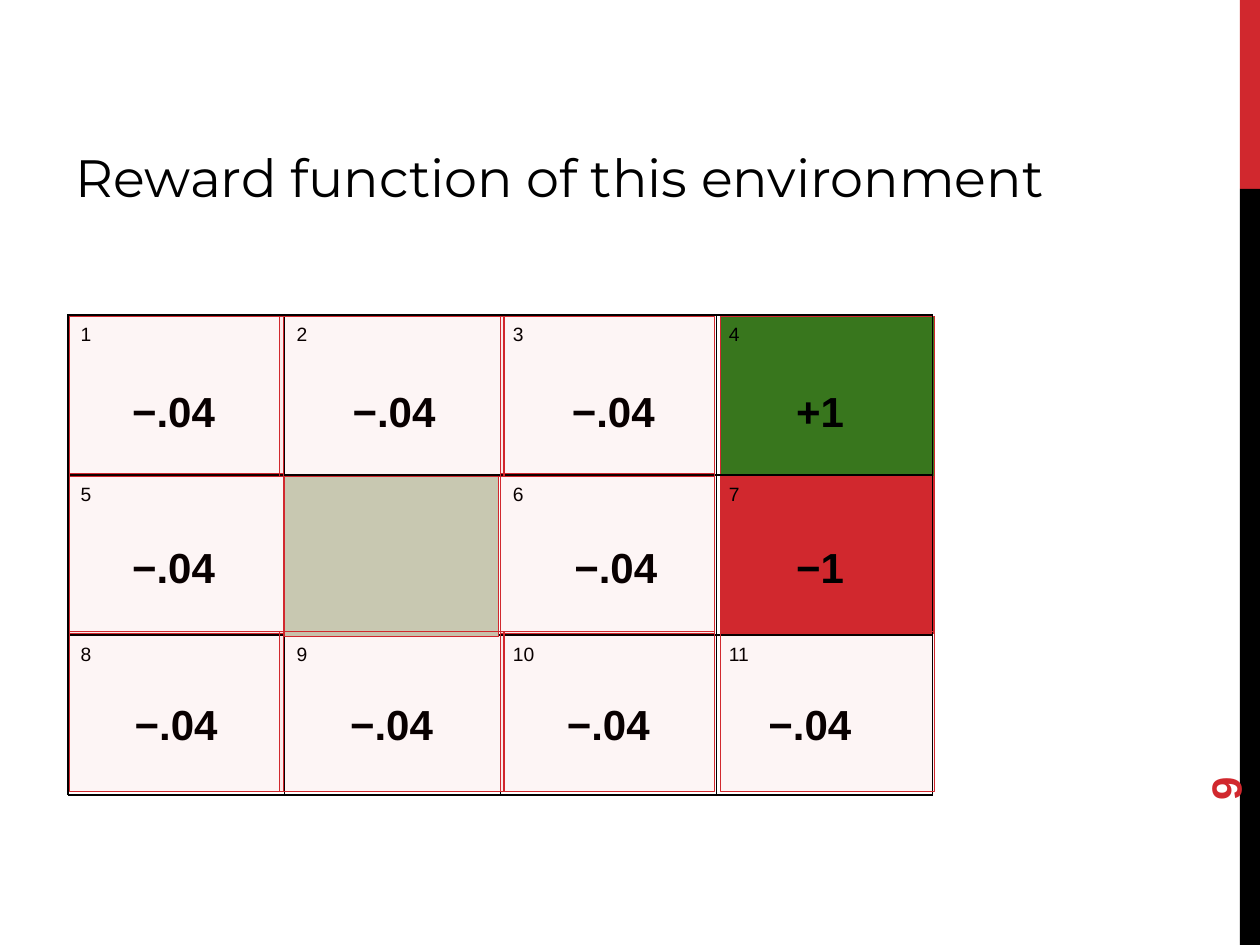
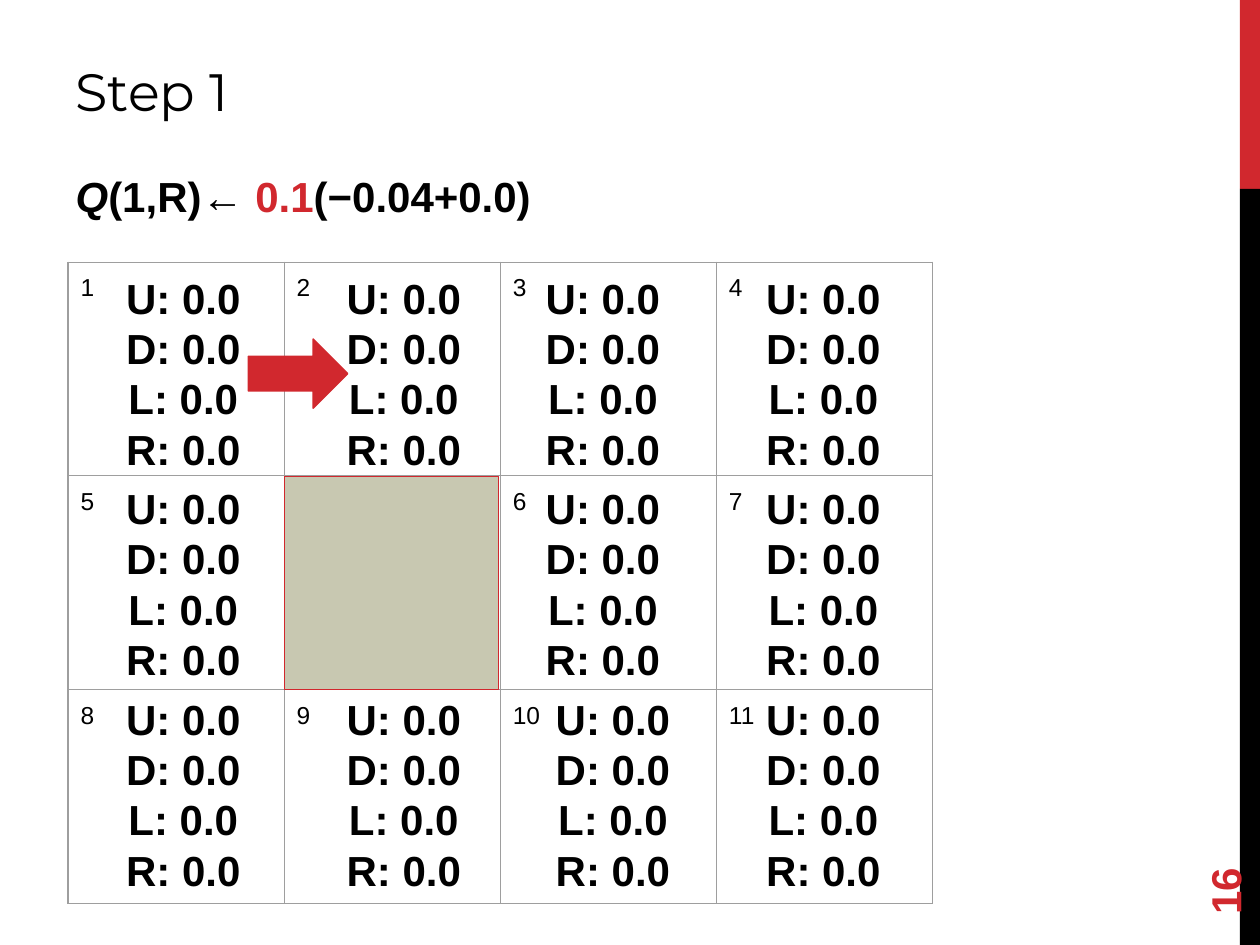
"""Build two grid-world slides: the reward function and the first Q-learning step."""
from dataclasses import dataclass
from typing import NamedTuple, Optional

from lxml.etree import SubElement
from pptx import Presentation
from pptx.dml.color import RGBColor
from pptx.enum.shapes import MSO_SHAPE as Preset
from pptx.enum.text import MSO_ANCHOR as Anchor, PP_ALIGN as Align
from pptx.oxml.ns import qn
from pptx.presentation import Presentation as Deck
from pptx.shapes.autoshape import Shape
from pptx.slide import Slide
from pptx.text.text import TextFrame, _Paragraph as Paragraph
from pptx.util import Inches, Length, Pt


@dataclass(frozen=True)
class Theme:
    """Colours, fonts and type sizes of the deck."""
    red: RGBColor = RGBColor(0xD1, 0x28, 0x2E)
    tint: RGBColor = RGBColor(0xD1, 0x00, 0x00)
    green: RGBColor = RGBColor(0x38, 0x76, 0x1D)
    wall: RGBColor = RGBColor(0xC8, 0xC8, 0xB1)
    black: RGBColor = RGBColor(0, 0, 0)
    grey: RGBColor = RGBColor(0x9E, 0x9E, 0x9E)
    title_font: str = "Montserrat"
    text_font: str = "Arial"
    title_size: Length = Pt(30)
    text_size: Length = Pt(24)
    reward_number_size: Length = Pt(11)
    step_number_size: Length = Pt(14)
    outline: Length = Pt(0.75)
    tint_percent: int = 4
    line_spacing: float = 1.0


THEME = Theme()


class Box(NamedTuple):
    """Position and size in inches."""
    left: float
    top: float
    width: float
    height: float

    def lengths(self) -> tuple[Length, ...]:
        """Return the four values as lengths."""
        return tuple(Inches(value) for value in self)


class Run(NamedTuple):
    """A piece of text with one format."""
    text: str
    size: Length = THEME.text_size
    color: RGBColor = THEME.black
    bold: bool = True
    italic: bool = False
    font: str = THEME.text_font


class Grid(NamedTuple):
    """The numbered grid-world table."""
    box: Box
    number_size: Length
    margin: float
    border: RGBColor


class Value(NamedTuple):
    """A reward written inside a state."""
    text: str
    left: float
    width: float = 0.92


STATES = (("1", "2", "3", "4"), ("5", "", "6", "7"), ("8", "9", "10", "11"))
REWARD_GRID = Grid(Box(0.54, 2.5, 6.86, 3.81), THEME.reward_number_size, 0.07, THEME.black)
STEP_GRID = Grid(Box(0.54, 2.08, 6.86, 5.09), THEME.step_number_size, 0.1, THEME.grey)

STEP_COST = "−.04"
REWARDS = (
    (Value(STEP_COST, 0.95), Value(STEP_COST, 2.7), Value(STEP_COST, 4.44), Value("+1", 6.22, 0.63)),
    (Value(STEP_COST, 0.95), Value(STEP_COST, 4.46), Value("−1", 6.22, 0.63)),
    (Value(STEP_COST, 0.97), Value(STEP_COST, 2.68), Value(STEP_COST, 4.4), Value(STEP_COST, 6)),
)
TINT_COLUMNS = ((0.55, 1.7), (2.22, 1.78), (3.97, 1.7), (5.72, 1.7))
UNTINTED = {"", "4", "7"}
ACTION_LEFTS = (0.79, 2.54, 4.12, 5.87)
UPDATE_RULE = (
    Run("Q", italic=True),
    Run("(1,R)← "),
    Run("0.1", color=THEME.red),
    Run("(−0.04+0.0)"),
)


def add_run(paragraph: Paragraph, run: Run) -> None:
    """Append one formatted run."""
    item = paragraph.add_run()
    item.text = run.text
    font = item.font
    font.name, font.size = run.font, run.size
    font.bold, font.italic = run.bold, run.italic
    font.color.rgb = run.color


def set_frame(frame: TextFrame, side: float, end: float, anchor: Anchor) -> None:
    """Set margins, wrapping and anchor of a text frame."""
    frame.margin_left = frame.margin_right = Inches(side)
    frame.margin_top = frame.margin_bottom = Inches(end)
    frame.word_wrap = True
    frame.vertical_anchor = anchor


def place(shape: Shape, box: Box) -> None:
    """Move and size a shape."""
    shape.left, shape.top, shape.width, shape.height = box.lengths()


def add_block(slide: Slide, box: Box, fill: RGBColor, outlined: bool = True,
              preset: Preset = Preset.RECTANGLE, opacity: Optional[int] = None) -> None:
    """Add a filled preset shape."""
    shape = slide.shapes.add_shape(preset, *box.lengths())
    shape.shadow.inherit = False
    shape.fill.solid()
    shape.fill.fore_color.rgb = fill
    if opacity is not None:
        color = shape._element.spPr.find(qn("a:solidFill"))[0]
        SubElement(color, qn("a:alpha"), val=str(opacity * 1000))
    if outlined:
        shape.line.color.rgb = THEME.red
        shape.line.width = THEME.outline
    else:
        shape.line.fill.background()


def add_label(slide: Slide, box: Box, lines: tuple[str, ...], align: Align = Align.LEFT,
              color: RGBColor = THEME.black, end: float = 0.1,
              anchor: Anchor = Anchor.TOP) -> Shape:
    """Add a bold text box with one paragraph per line."""
    label = slide.shapes.add_textbox(*box.lengths())
    frame = label.text_frame
    set_frame(frame, 0.1, end, anchor)
    for index, line in enumerate(lines):
        paragraph = frame.add_paragraph() if index else frame.paragraphs[0]
        paragraph.alignment = align
        paragraph.line_spacing = THEME.line_spacing
        add_run(paragraph, Run(line, color=color))
    return label


def add_grid(slide: Slide, grid: Grid) -> None:
    """Add the table of numbered states."""
    table = slide.shapes.add_table(len(STATES), len(STATES[0]), *grid.box.lengths()).table
    table.first_row = table.horz_banding = False
    for row, numbers in enumerate(STATES):
        for column, number in enumerate(numbers):
            cell = table.cell(row, column)
            cell.margin_left = cell.margin_right = Inches(0.1)
            cell.margin_top = cell.margin_bottom = Inches(grid.margin)
            properties = cell._tc.get_or_add_tcPr()
            for side in ("lnL", "lnR", "lnT", "lnB"):
                line = SubElement(properties, qn(f"a:{side}"), w=str(int(THEME.outline)))
                fill = SubElement(line, qn("a:solidFill"))
                SubElement(fill, qn("a:srgbClr"), val=str(grid.border))
            cell.fill.background()
            if number:
                add_run(cell.text_frame.paragraphs[0], Run(number, grid.number_size, bold=False))


def start_slide(presentation: Deck, layout: int, title: str, title_box: Box,
                number: str, number_box: Box) -> Slide:
    """Add a slide with side bands, title and page number."""
    slide = presentation.slides.add_slide(presentation.slide_layouts[layout])
    add_block(slide, Box(9.84, 0, 0.16, 1.5), THEME.red, outlined=False)
    add_block(slide, Box(9.84, 1.5, 0.16, 6), THEME.black, outlined=False)
    heading = slide.shapes.title
    place(heading, title_box)
    set_frame(heading.text_frame, 0.1, 0.05, Anchor.BOTTOM)
    paragraph = heading.text_frame.paragraphs[0]
    paragraph.alignment = Align.LEFT
    add_run(paragraph, Run(title, THEME.title_size, bold=False, font=THEME.title_font))
    page = add_label(slide, number_box, (number,), color=THEME.red, end=0.05, anchor=Anchor.MIDDLE)
    page.rotation = 270
    return slide


def build_reward_slide(presentation: Deck) -> None:
    """Show the reward of every state."""
    slide = start_slide(presentation, 5, "Reward function of this environment",
                        Box(0.5, 1.06, 8.84, 0.64), "9", Box(9.18, 5.71, 1.08, 0.4))
    add_block(slide, Box(5.72, 3.76, 1.7, 1.27), THEME.red)
    add_block(slide, Box(5.72, 2.51, 1.7, 1.27), THEME.green)
    add_grid(slide, REWARD_GRID)
    add_block(slide, Box(2.26, 3.78, 1.7, 1.27), THEME.wall)
    for row, values in enumerate(REWARDS):
        for value in values:
            add_label(slide, Box(value.left, 2.96 + 1.24 * row, value.width, 0.42), (value.text,))
    for row, numbers in enumerate(STATES):
        for number, (left, width) in zip(numbers, TINT_COLUMNS):
            if number not in UNTINTED:
                add_block(slide, Box(left, 2.51 + 1.25 * row, width, 1.27), THEME.tint,
                          opacity=THEME.tint_percent)


def build_step_slide(presentation: Deck) -> None:
    """Show the first update with all action values at zero."""
    slide = start_slide(presentation, 1, "Step 1", Box(0.5, 0.17, 8.84, 0.85),
                        "16", Box(9, 6.44, 1.44, 0.4))
    add_grid(slide, STEP_GRID)
    add_block(slide, Box(2.26, 3.78, 1.7, 1.69), THEME.wall)
    actions = tuple(f"{action}: 0.0" for action in "UDLR")
    for row, numbers in enumerate(STATES):
        for number, left in zip(numbers, ACTION_LEFTS):
            if number:
                shift = 0.08 if number == "10" else 0
                add_label(slide, Box(left + shift, 2.06 + 1.67 * row, 1.33, 1.69),
                          actions, Align.CENTER)
    body = slide.placeholders[1]
    place(body, Box(0.5, 1.3, 8.84, 6.05))
    set_frame(body.text_frame, 0.1, 0.05, Anchor.TOP)
    paragraph = body.text_frame.paragraphs[0]
    properties = paragraph._p.get_or_add_pPr()
    properties.set("marL", "0")
    properties.set("indent", "0")
    SubElement(properties, qn("a:buNone"))
    paragraph.space_before, paragraph.space_after = Pt(0), Pt(6)
    paragraph.line_spacing = THEME.line_spacing
    for run in UPDATE_RULE:
        add_run(paragraph, run)
    add_block(slide, Box(1.97, 2.69, 0.79, 0.55), THEME.red, preset=Preset.RIGHT_ARROW)


def main() -> None:
    """Build and save the presentation."""
    presentation = Presentation()
    presentation.slide_width, presentation.slide_height = Inches(10), Inches(7.5)
    build_reward_slide(presentation)
    build_step_slide(presentation)
    presentation.save("out.pptx")


if __name__ == "__main__":
    main()
